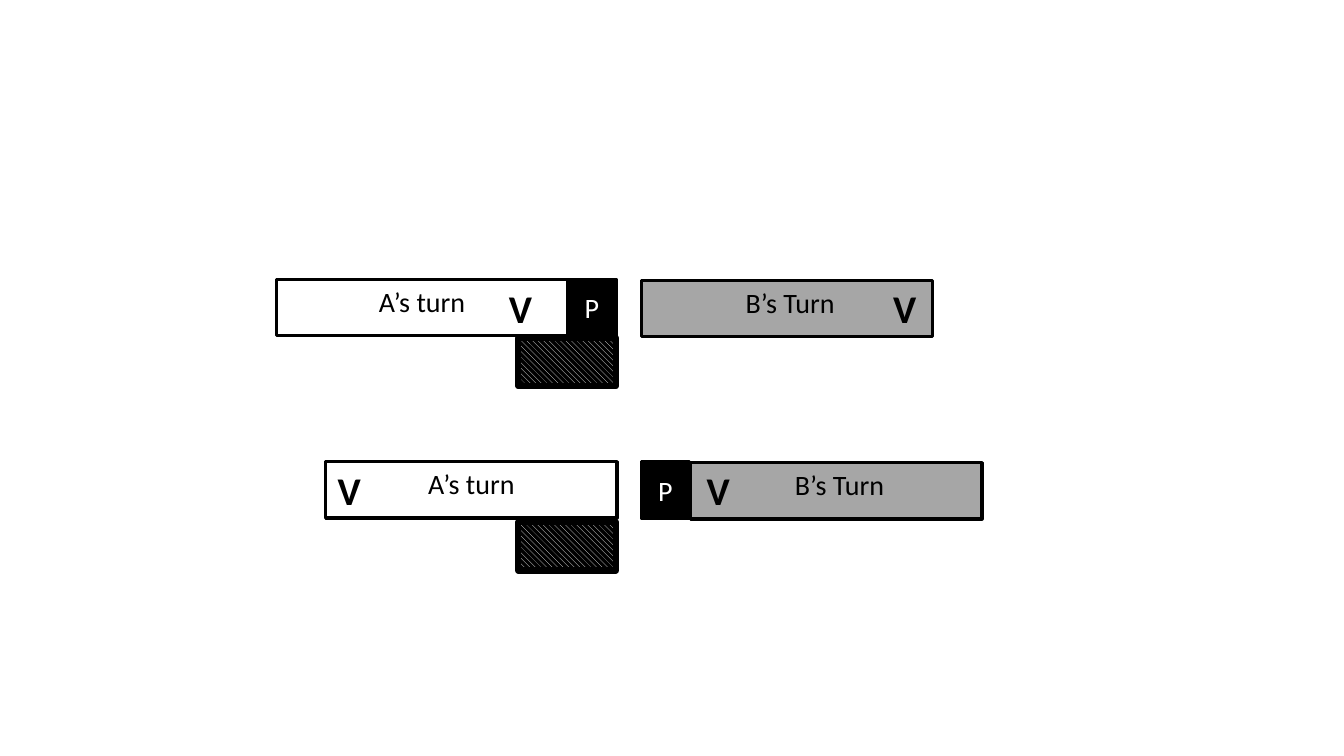
import dataclasses
import typing

import pptx
import pptx.dml.color
import pptx.enum.dml
import pptx.enum.shapes
import pptx.enum.text
import pptx.util

Inches = pptx.util.Inches
Align = pptx.enum.text.PP_ALIGN
Anchor = pptx.enum.text.MSO_ANCHOR

HUES = {"ink": "000000", "paper": "FFFFFF", "gray": "A6A6A6"}
FONT = "Calibri"
TURN_W, PAUSE_W, BAR_H = 2.89, 0.48, 0.56
HATCH_X, HATCH_W, HATCH_H = 5.14, 0.97, 0.48
MARK_W, MARK_H = 0.43, 0.57


@dataclasses.dataclass
class Bar:
    left: float
    top: float
    width: float
    text: str
    fill: typing.Optional[str] = None
    ink: str = "ink"
    anchor: typing.Any = Anchor.TOP


@dataclasses.dataclass
class Row:
    top: float
    a_left: float
    b_left: float
    pause: float
    hatch: float
    marks: tuple[float, float]


ROWS = [
    Row(top=2.77, a_left=2.74, b_left=6.36, pause=5.63, hatch=3.35, marks=(4.95, 8.76)),
    Row(top=4.58, a_left=3.23, b_left=6.85, pause=6.36, hatch=5.18, marks=(3.25, 6.91)),
]


def hue(name: str) -> pptx.dml.color.RGBColor:
    return pptx.dml.color.RGBColor.from_string(HUES[name])


def set_all(item: typing.Any, form: dict[str, typing.Any]) -> None:
    for key, value in form.items():
        setattr(item, key, value)


def write(frame: typing.Any, text: str, align: typing.Any, ink: str, **form: typing.Any) -> None:
    para = frame.paragraphs[0]
    para.alignment = align
    run = para.add_run()
    run.text = text
    set_all(run.font, {"name": FONT, **form})
    run.font.color.rgb = hue(ink)


def add_rect(slide: typing.Any, left: float, top: float, width: float,
             height: float, line: float) -> typing.Any:
    rect = slide.shapes.add_shape(
        pptx.enum.shapes.MSO_SHAPE.RECTANGLE,
        Inches(left), Inches(top), Inches(width), Inches(height))
    rect.shadow.inherit = False
    rect.line.color.rgb = hue("ink")
    rect.line.width = pptx.util.Pt(line)
    return rect


def add_bar(slide: typing.Any, bar: Bar) -> None:
    rect = add_rect(slide, bar.left, bar.top, bar.width, BAR_H, 2.25)
    if bar.fill:
        rect.fill.solid()
        rect.fill.fore_color.rgb = hue(bar.fill)
    else:
        rect.fill.background()
    rect.text_frame.vertical_anchor = bar.anchor
    write(rect.text_frame, bar.text, Align.CENTER, bar.ink, size=pptx.util.Pt(20))


def add_hatch(slide: typing.Any, top: float) -> None:
    fill = add_rect(slide, HATCH_X, top, HATCH_W, HATCH_H, 4.5).fill
    fill.patterned()
    fill.pattern = pptx.enum.dml.MSO_PATTERN.WIDE_DOWNWARD_DIAGONAL
    fill.fore_color.rgb = hue("paper")
    fill.back_color.rgb = hue("ink")


def add_mark(slide: typing.Any, left: float, top: float) -> None:
    box = slide.shapes.add_textbox(Inches(left), Inches(top), Inches(MARK_W), Inches(MARK_H))
    set_all(box.text_frame, {
        "word_wrap": False,
        "auto_size": pptx.enum.text.MSO_AUTO_SIZE.SHAPE_TO_FIT_TEXT,
    })
    write(box.text_frame, "V", Align.LEFT, "ink", size=pptx.util.Pt(28), bold=True)


def main() -> None:
    deck = pptx.Presentation()
    set_all(deck, {"slide_width": Inches(13.33), "slide_height": Inches(7.5)})
    slide = deck.slides.add_slide(deck.slide_layouts[6])

    # Turns, pause and hatched overlap of each row
    for row in ROWS:
        add_bar(slide, Bar(row.b_left, row.top + 0.01, TURN_W, " B’s Turn", "gray"))
        add_bar(slide, Bar(row.a_left, row.top, TURN_W, "A’s turn"))
        add_bar(slide, Bar(row.pause, row.top, PAUSE_W, "P", "ink", "paper", Anchor.MIDDLE))
        add_hatch(slide, row.hatch)

    # V marks on top of the turns
    for row in ROWS:
        for left in row.marks:
            add_mark(slide, left, row.top)

    deck.save("out.pptx")


if __name__ == "__main__":
    main()
